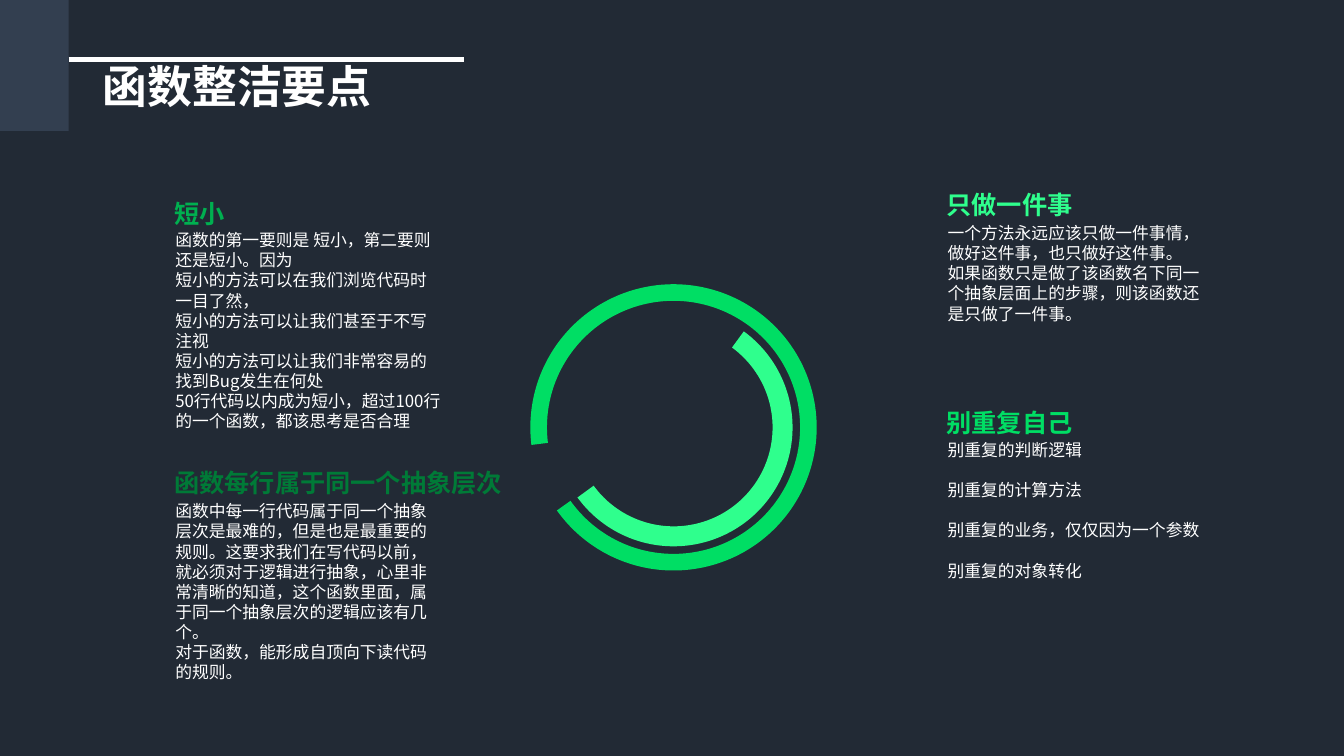
from pptx import Presentation
from pptx.dml.color import RGBColor
from pptx.enum import shapes, text
from pptx.oxml import ns
from pptx.util import Inches, Pt
from lxml import etree

NAVY = RGBColor(0x22, 0x2A, 0x35)
SLATE = RGBColor(0x33, 0x3F, 0x50)
WHITE = RGBColor(0xFF, 0xFF, 0xFF)
MINT = RGBColor(0x2F, 0xFF, 0x8D)
BRIGHT = RGBColor(0x00, 0xDE, 0x64)
GREEN = RGBColor(0x00, 0xB0, 0x50)
DARK = RGBColor(0x00, 0x7A, 0x37)
TITLE_FONT, HEAD_FONT, BODY_FONT = "Calibri", "TeX Gyre Adventor", "Noto Sans CJK SC"


def add_text(s, box, lines, size=12, font=BODY_FONT, color=WHITE, bold=False,
             wrap=True, gap=0, spacing=None):
    """Add a text box with one paragraph per line; gap is in points."""
    tf = s.shapes.add_textbox(*map(Inches, box)).text_frame
    tf.word_wrap = wrap
    if not wrap:
        tf.auto_size = text.MSO_AUTO_SIZE.SHAPE_TO_FIT_TEXT
    tf.vertical_anchor = text.MSO_ANCHOR.TOP
    for i, line in enumerate(lines):
        p = tf.paragraphs[0] if i == 0 else tf.add_paragraph()
        p.space_before = Pt(gap if i else 0)
        if spacing:
            p.line_spacing = spacing
        r = p.add_run()
        r.text = line
        r.font.size, r.font.name, r.font.bold = Pt(size), font, bold
        r.font.color.rgb = color
        ea = etree.SubElement(r._r.get_or_add_rPr(), ns.qn("a:ea"))
        ea.set("typeface", font)


def add_filled(s, kind, box, color):
    """Add a preset shape with a plain fill and no outline."""
    sp = s.shapes.add_shape(kind, *map(Inches, box))
    sp.shadow.inherit = False
    sp.fill.solid()
    sp.fill.fore_color.rgb = color
    sp.line.fill.background()
    return sp


def add_header(s, x, y, title):
    """Place the corner block, the rule and the title from a top left point."""
    add_filled(s, shapes.MSO_SHAPE.RECTANGLE, (x, y, 0.68, 1.3), SLATE)
    rule = s.shapes.add_connector(
        shapes.MSO_CONNECTOR.STRAIGHT,
        *map(Inches, (x + 0.68, y + 0.59, x + 4.6, y + 0.59)))
    rule.line.color.rgb = WHITE
    rule.line.width = Pt(3)
    etree.SubElement(rule._element.spPr, ns.qn("a:effectLst"))
    add_text(s, (x + 0.92, y + 0.59, 4.17, 0.9), [title], size=32,
             font=TITLE_FONT, bold=True, spacing=0.9)


def add_rings(s, cx, cy):
    """Draw the two open rings around a shared centre."""
    rings = [(2.36, 115.8, (114.22, 16.85, 0.084), MINT),
             (2.84, 102.1, (42.5, 25.44, 0.058), BRIGHT)]
    for d, turn, adjust, color in rings:
        sp = add_filled(s, shapes.MSO_SHAPE.BLOCK_ARC,
                        (cx - d / 2, cy - d / 2, d, d), color)
        sp.rotation = turn
        for i, value in enumerate(adjust):
            sp.adjustments[i] = value


def add_point(s, box, heading, lines, color, drop=0.33, gap=0):
    """Place a heading as wide as its characters, with body text below it."""
    x, y, w, h = box
    add_text(s, (x + 0.01, y + drop, w, h - drop), lines, gap=gap)
    heading_w = 0.25 * len(heading) + 0.22
    add_text(s, (x, y, heading_w, 0.4), [heading], size=18, font=HEAD_FONT,
             color=color, bold=True, wrap=False)


def build_slide(prs):
    """Build the slide on the key points of clean functions."""
    s = prs.slides.add_slide(prs.slide_layouts[6])
    s.background.fill.solid()
    s.background.fill.fore_color.rgb = NAVY
    add_header(s, 0, 0, "函数整洁要点")
    add_rings(s, 6.68, 4.24)
    left, right, w = 1.63, 9.29, 2.84
    add_point(s, (right, 1.83, w, 1.44), "只做一件事", [
        "一个方法永远应该只做一件事情，做好这件事，也只做好这件事。",
        "如果函数只是做了该函数名下同一个抽象层面上的步骤，则该函数还是只做了一件事。",
    ], MINT)
    add_point(s, (right, 3.99, w, 1.83), "别重复自己", [
        "别重复的判断逻辑",
        "别重复的计算方法",
        "别重复的业务，仅仅因为一个参数",
        "别重复的对象转化",
    ], BRIGHT, drop=0.32, gap=14.4)
    add_point(s, (left, 1.92, w, 2.43), "短小", [
        "函数的第一要则是 短小，第二要则还是短小。因为",
        "短小的方法可以在我们浏览代码时一目了然，",
        "短小的方法可以让我们甚至于不写注视",
        "短小的方法可以让我们非常容易的找到Bug发生在何处",
        "50行代码以内成为短小，超过100行的一个函数，都该思考是否合理",
    ], GREEN, drop=0.31)
    add_point(s, (left, 4.59, w, 2.25), "函数每行属于同一个抽象层次", [
        "函数中每一行代码属于同一个抽象层次是最难的，但是也是最重要的规则。"
        "这要求我们在写代码以前，就必须对于逻辑进行抽象，心里非常清晰的知道，"
        "这个函数里面，属于同一个抽象层次的逻辑应该有几个。",
        "对于函数，能形成自顶向下读代码的规则。",
    ], DARK)


prs = Presentation()
prs.slide_width, prs.slide_height = Inches(13.33), Inches(7.5)
build_slide(prs)
prs.save("out.pptx")
